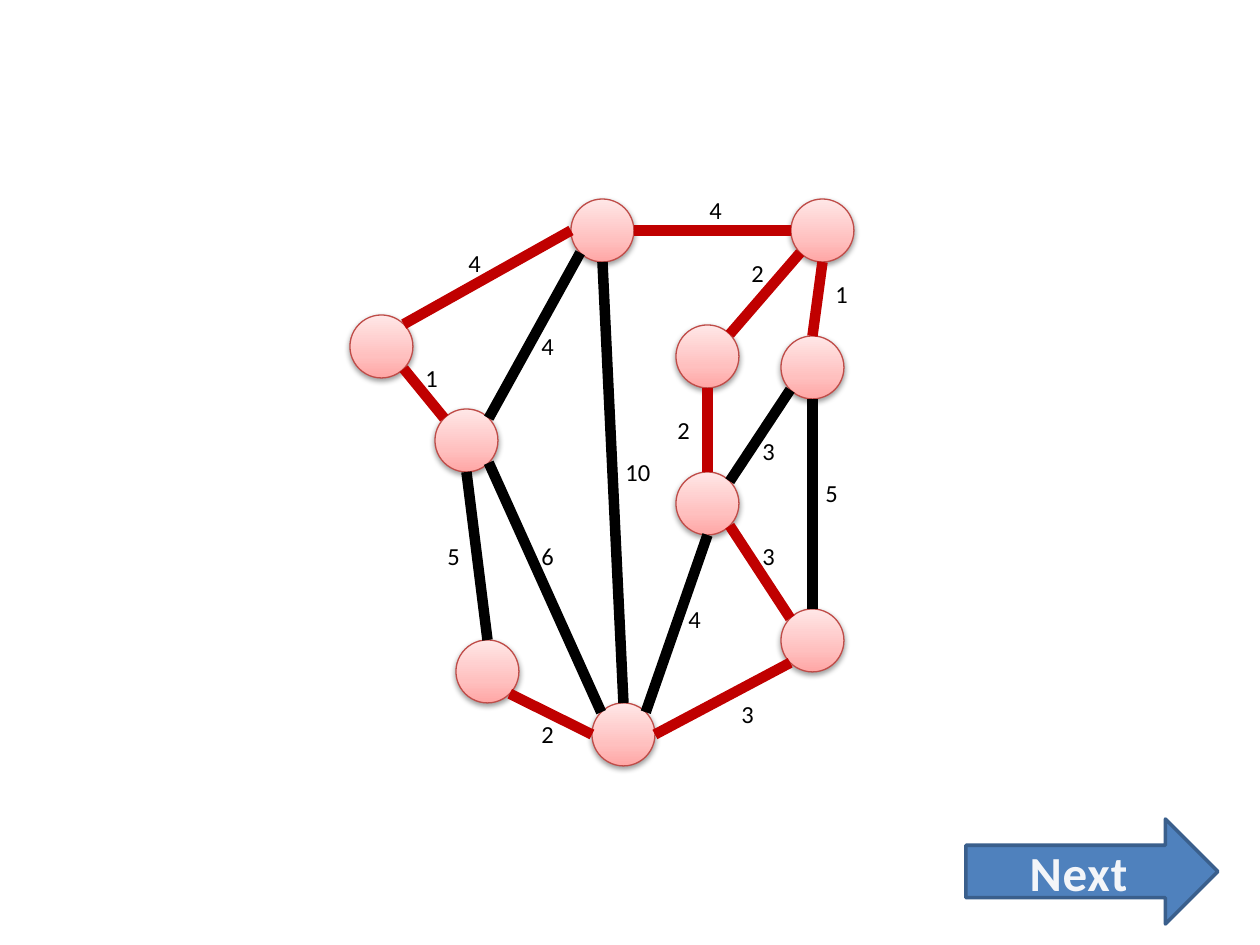
from copy import deepcopy
from math import cos, radians, sin

from lxml import etree
from pptx import Presentation
from pptx.dml.color import RGBColor
from pptx.enum.shapes import MSO_CONNECTOR, MSO_SHAPE
from pptx.enum.text import MSO_ANCHOR, MSO_AUTO_SIZE, PP_ALIGN
from pptx.oxml import parse_xml
from pptx.oxml.ns import nsdecls, qn
from pptx.util import Pt

SCALE = 914400 // 126
ELLIPSE, ARROW = MSO_SHAPE.OVAL, MSO_SHAPE.RIGHT_ARROW
STRAIGHT = MSO_CONNECTOR.STRAIGHT
CENTER, MIDDLE = PP_ALIGN.CENTER, MSO_ANCHOR.MIDDLE
FIT_SHAPE = MSO_AUTO_SIZE.SHAPE_TO_FIT_TEXT
NODE_SIZE = 63
RED, BLACK = "C00000", "000000"
ANGLES = {"E": 0, "SE": 45, "S": 90, "SW": 135, "W": 180, "NW": 225, "N": 270}


def color(value):
    return RGBColor.from_string(value)


def emu(*pixels):
    return [round(pixel * SCALE) for pixel in pixels]


deck = Presentation()
deck.slide_width, deck.slide_height = emu(1260, 945)
page = deck.slides.add_slide(deck.slide_layouts[6])

nodes = {
    "top": (571, 199),
    "top_right": (791, 199),
    "inner": (676, 325),
    "mid_left": (435, 409),
    "bottom": (592, 703),
    "right": (781, 336),
    "center": (676, 472),
    "low_right": (781, 609),
    "low_left": (456, 640),
    "left": (350, 315),
}
for left, top in nodes.values():
    node = page.shapes.add_shape(ELLIPSE, *emu(left, top, NODE_SIZE, NODE_SIZE))
    node.fill.gradient()
    node.fill.gradient_angle = 90
    stops = node._element.spPr.find(qn("a:gradFill")).find(qn("a:gsLst"))
    stops.insert(1, deepcopy(stops[0]))
    for stop, (position, shade) in zip(
        node.fill.gradient_stops, [(0, "FFA6A5"), (0.35, "FFC0BF"), (1, "FFE7E7")]
    ):
        stop.position = position
        stop.color.rgb = color(shade)
    node.line.color.rgb = color("BF4C48")
    node.line.width = Pt(0.75)
    node._element.spPr.append(parse_xml(
        f'<a:effectLst {nsdecls("a")}><a:outerShdw blurRad="40000" dist="20000" '
        'dir="5400000" rotWithShape="0"><a:srgbClr val="000000">'
        '<a:alpha val="38000"/></a:srgbClr></a:outerShdw></a:effectLst>'))

edges = [
    ("top", "E", "top_right", "W", RED, "4", 697, 189),
    ("top", "SW", "mid_left", "NE", BLACK, "4", 529, 325),
    ("mid_left", "SE", "bottom", "NW", BLACK, "6", 529, 535),
    ("bottom", "NE", "center", "S", BLACK, "4", 676, 598),
    ("right", "SW", "center", "NE", BLACK, "3", 750, 430),
    ("inner", "S", "center", "N", RED, "2", 665, 409),
    ("top", "S", "bottom", "N", BLACK, "10", 613, 451),
    ("top_right", "SW", "inner", "NE", RED, "2", 739, 252),
    ("top_right", "S", "right", "N", RED, "1", 823, 273),
    ("bottom", "E", "low_right", "SW", RED, "3", 729, 693),
    ("bottom", "W", "low_left", "SE", RED, "2", 529, 713),
    ("mid_left", "NW", "left", "SE", RED, "1", 413, 357),
    ("low_right", "NW", "center", "SE", RED, "3", 750, 535),
    ("right", "S", "low_right", "N", BLACK, "5", 813, 472),
    ("left", "NE", "top", "W", RED, "4", 456, 242),
    ("mid_left", "S", "low_left", "N", BLACK, "5", 435, 535),
]
ANGLES["NE"] = 315
for start, start_side, end, end_side, shade, weight, left, top in edges:
    points = []
    for name, side in [(start, start_side), (end, end_side)]:
        angle = radians(ANGLES[side])
        points += [
            nodes[name][0] + NODE_SIZE / 2 * (1 + cos(angle)),
            nodes[name][1] + NODE_SIZE / 2 * (1 + sin(angle)),
        ]
    edge = page.shapes.add_connector(STRAIGHT, *emu(*points))
    edge.line.color.rgb = color(shade)
    edge.line.width = Pt(6)
    etree.SubElement(edge._element.spPr, qn("a:effectLst"))

    label = page.shapes.add_textbox(*emu(left, top, 26 + 12 * len(weight), 43))
    label.text_frame.word_wrap = False
    label.text_frame.auto_size = FIT_SHAPE
    para = label.text_frame.paragraphs[0]
    para.text = weight
    para.font.name = "Calibri"
    para.font.size = Pt(14)
    para.font.color.rgb = color(BLACK)

button = page.shapes.add_shape(ARROW, *emu(966, 819, 252, 105))
button.shadow.inherit = False
button.fill.solid()
button.fill.fore_color.rgb = color("4F81BD")
button.line.color.rgb = color("3A5F8C")
button.line.width = Pt(2)
button.text_frame.vertical_anchor = MIDDLE
para = button.text_frame.paragraphs[0]
para.alignment = CENTER
span = para.add_run()
span.text = "Next"
span.font.name = "Calibri"
span.font.size = Pt(28)
span.font.bold = True
span.font.color.rgb = color("FCFCFD")
properties = span._r.get_or_add_rPr()
properties.set("spc", "50")
fill_color = properties.find(qn("a:solidFill"))[0]
etree.SubElement(fill_color, qn("a:alpha")).set("val", "95000")
properties.insert(0, parse_xml(
    f'<a:ln {nsdecls("a")} w="13500"><a:solidFill><a:srgbClr val="101A26">'
    '<a:alpha val="6000"/></a:srgbClr></a:solidFill><a:prstDash val="solid"/></a:ln>'))

deck.save("out.pptx")
